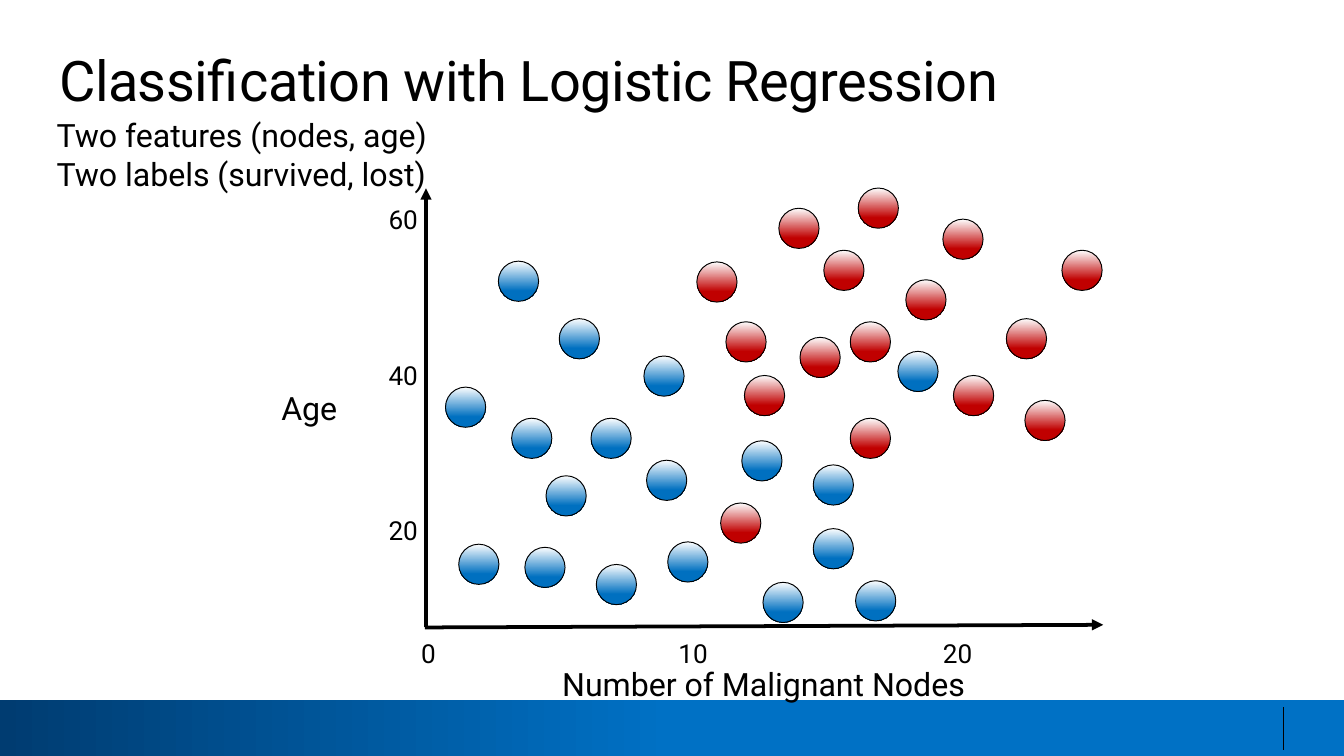
from lxml.etree import SubElement
from pptx import Presentation
from pptx.dml.color import RGBColor
from pptx.enum.shapes import MSO_CONNECTOR, MSO_SHAPE
from pptx.enum.text import MSO_ANCHOR, MSO_AUTO_SIZE, PP_ALIGN
from pptx.oxml.ns import qn
from pptx.util import Cm, Pt

BLACK = RGBColor(0x00, 0x00, 0x00)
HIGHLIGHT = RGBColor(0xFE, 0xFF, 0xFF)
LOST_RED = RGBColor(0xC0, 0x00, 0x00)
SURVIVED_BLUE = RGBColor(0x00, 0x70, 0xC0)
FOOTER_NAVY = RGBColor(0x00, 0x3C, 0x71)
FOOTER_BLUE = RGBColor(0x00, 0x71, 0xC5)

FONT = "Roboto"
SLIDE_WIDTH, SLIDE_HEIGHT = 25.4, 14.29

# Plot scale in cm, measured from the corner of the axes
NODE_STEP = 0.5
DECADE_STEP = 1.47
ZERO_NODES_OFFSET = 0.05
AGE_60_OFFSET = 0.61
DOT_SIZE = 0.76

# (malignant nodes, age) of each patient
LOST = [
    (11.8, 21.1), (16.7, 32), (12.7, 37.5), (12, 44.4), (10.9, 52.1),
    (14, 59), (15.7, 53.6), (16.7, 44.4), (14.8, 42.4), (18.8, 49.8),
    (17, 61.6), (20.2, 57.6), (24.7, 53.6), (22.6, 44.8), (20.6, 37.5),
    (23.3, 34.3),
]
SURVIVED = [
    (9, 26.6), (6.9, 32), (8.9, 40), (12.6, 29.1), (15.3, 26),
    (18.5, 40.6), (15.3, 17.8), (13.4, 10.9), (16.9, 11.1), (9.8, 16.1),
    (7.1, 13.2), (4.4, 15.4), (1.9, 15.8), (5.2, 24.6), (3.9, 32),
    (5.7, 44.8), (1.4, 36), (3.4, 52.2),
]


def add_text(slide, lines, left, top, width, height, size=17.2,
             align=PP_ALIGN.LEFT, anchor=MSO_ANCHOR.TOP, line_height=None,
             tracking=None):
    """Place one paragraph per line; tracking is in hundredths of a point."""
    frame = slide.shapes.add_textbox(
        Cm(left), Cm(top), Cm(width), Cm(height)).text_frame
    frame.margin_left = frame.margin_right = Cm(0)
    frame.margin_top = frame.margin_bottom = Cm(0)
    frame.word_wrap = True
    frame.auto_size = MSO_AUTO_SIZE.SHAPE_TO_FIT_TEXT
    frame.vertical_anchor = anchor
    for index, line in enumerate(lines):
        paragraph = frame.add_paragraph() if index else frame.paragraphs[0]
        paragraph.alignment = align
        if line_height:
            paragraph.line_spacing = Pt(line_height)
        run = paragraph.add_run()
        run.text = line
        run.font.name = FONT
        run.font.size = Pt(size)
        run.font.color.rgb = BLACK
        if tracking:
            run.font._element.set("spc", str(tracking))


def add_line(slide, start, end, weight, arrow=False):
    line = slide.shapes.add_connector(
        MSO_CONNECTOR.STRAIGHT, *map(Cm, start + end))
    line.line.color.rgb = BLACK
    line.line.width = Pt(weight)
    if arrow:
        SubElement(line.line._get_or_add_ln(), qn("a:tailEnd"), type="triangle")
    SubElement(line._element.spPr, qn("a:effectLst"))


def add_gradient_shape(slide, preset, left, top, width, height,
                       first, last, last_stop, angle):
    shape = slide.shapes.add_shape(
        preset, Cm(left), Cm(top), Cm(width), Cm(height))
    shape.shadow.inherit = False
    shape.fill.gradient()
    shape.fill.gradient_angle = angle
    start, end = shape.fill.gradient_stops
    start.color.rgb, start.position = first, 0
    end.color.rgb, end.position = last, last_stop
    return shape


def add_footer(slide, left, top, width, height):
    band = add_gradient_shape(slide, MSO_SHAPE.RECTANGLE, left, top, width,
                              height, FOOTER_NAVY, FOOTER_BLUE, 0.5, 0)
    band.line.fill.background()
    divider = left + width - 1.14
    add_line(slide, (divider, top + 0.13), (divider, top + height - 0.12), 0.75)


def add_heading(slide, left, top, width):
    add_text(slide, ["Two features (nodes, age)", "Two labels (survived, lost)"],
             left - 0.05, top + 1.32, 8.33, 1.47, anchor=MSO_ANCHOR.MIDDLE)
    add_text(slide, ["Classification with Logistic Regression"],
             left, top, width, 1.27, size=30, tracking=-30)


def add_scatter(slide, left, top, width, height):
    """Draw axes, tick labels and patients in the box the axes span."""
    bottom = top + height

    def node_x(nodes):
        return left + ZERO_NODES_OFFSET + nodes * NODE_STEP

    def age_y(age):
        return top + AGE_60_OFFSET + (60 - age) / 10 * DECADE_STEP

    label = {"align": PP_ALIGN.CENTER, "line_height": 28.5}
    tick = {"size": 14, "anchor": MSO_ANCHOR.MIDDLE, "line_height": 28.5}
    add_text(slide, ["Number of Malignant Nodes"],
             left + 1.78, bottom + 0.43, 9.2, 0.97, **label)
    add_text(slide, ["Age"], left - 3.17, top + 3.5, 1.93, 0.97, **label)
    for nodes in (0, 10, 20):
        add_text(slide, [str(nodes)], node_x(nodes) - 0.4, bottom - 0.18,
                 0.8, 0.91, align=PP_ALIGN.CENTER, **tick)
    for age in (60, 40, 20):
        add_text(slide, [str(age)], left - 0.79, age_y(age) - 0.69,
                 0.64, 0.91, align=PP_ALIGN.RIGHT, **tick)

    add_line(slide, (left, bottom), (left, top), 2, arrow=True)
    add_line(slide, (left - 0.02, bottom), (left + width, bottom - 0.05), 2,
             arrow=True)

    for patients, color in ((LOST, LOST_RED), (SURVIVED, SURVIVED_BLUE)):
        for nodes, age in patients:
            dot = add_gradient_shape(
                slide, MSO_SHAPE.OVAL, node_x(nodes) - DOT_SIZE / 2,
                age_y(age) - DOT_SIZE / 2, DOT_SIZE, DOT_SIZE,
                HIGHLIGHT, color, 0.74, 270)
            dot.line.color.rgb = BLACK
            dot.line.width = Pt(0.5)


def main():
    deck = Presentation()
    deck.slide_width, deck.slide_height = Cm(SLIDE_WIDTH), Cm(SLIDE_HEIGHT)
    slide = deck.slides.add_slide(deck.slide_layouts[6])
    add_footer(slide, 0, 13.23, SLIDE_WIDTH, 1.06)
    add_scatter(slide, 8.05, 3.56, 12.8, 8.3)
    add_heading(slide, 1.12, 0.86, 23.44)
    deck.save("out.pptx")


if __name__ == "__main__":
    main()
